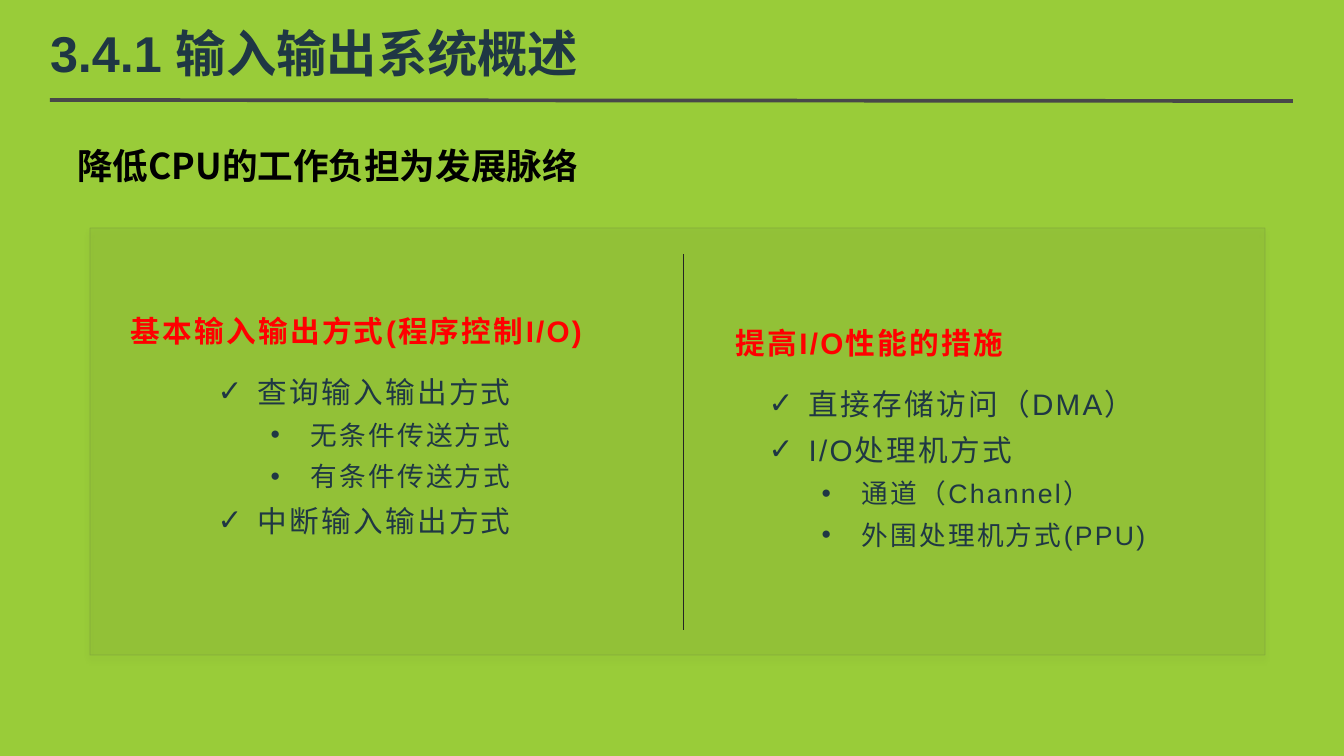
from lxml.etree import SubElement
from pptx import Presentation
from pptx.dml.color import RGBColor
from pptx.enum.shapes import MSO_CONNECTOR, MSO_SHAPE
from pptx.enum.text import MSO_ANCHOR, MSO_AUTO_SIZE, PP_ALIGN
from pptx.oxml.ns import qn
from pptx.util import Emu, Pt

SLIDE_WIDTH, SLIDE_HEIGHT = 1344, 756
GREEN, GREY, NAVY = "99CC39", "484849", "1F3744"
RED, BLACK, DIVIDER = "FF0000", "000000", "242424"
LATIN, CHINESE = "Arial", "Noto Sans CJK SC"
HANGING, LEVEL_STEP = 40, 53


def px(length):
    return Emu(round(length * 8572.5))


def color(value):
    return RGBColor.from_string(value)


def place(shape, box):
    shape.left, shape.top, shape.width, shape.height = map(px, box)


def set_alpha(fill_element, percent):
    for rgb in fill_element.iter(qn("a:srgbClr")):
        SubElement(rgb, qn("a:alpha"), val=str(percent * 1000))


def add_run(paragraph, text, size, value, bold=False, latin=LATIN, spacing=0):
    run = paragraph.add_run()
    run.text = text
    font = run.font
    font.size, font.bold, font.name = Pt(size), bold, latin
    font.color.rgb = color(value)
    properties = run._r.get_or_add_rPr()
    SubElement(properties, qn("a:ea"), typeface=CHINESE)
    if spacing:
        properties.set("spc", str(round(spacing * 100)))


def set_bullet(paragraph, indent, hanging, bullet=None):
    properties = paragraph._p.get_or_add_pPr()
    properties.set("marL", str(px(indent)))
    properties.set("indent", str(-px(hanging)))
    if bullet:
        SubElement(properties, qn("a:buFont"), typeface=LATIN)
        SubElement(properties, qn("a:buChar"), char=bullet)
    else:
        SubElement(properties, qn("a:buNone"))


def add_line(slide, start, end, value, width):
    line = slide.shapes.add_connector(
        MSO_CONNECTOR.STRAIGHT, *map(px, start + end))
    line.line.color.rgb = color(value)
    line.line.width = Pt(width)
    SubElement(line._element.spPr, qn("a:effectLst"))


def add_header(slide, box, text):
    """Title with the rule below it."""
    left, top, width, height = box
    title = slide.shapes.title
    place(title, box)
    frame = title.text_frame
    frame.margin_left = frame.margin_right = 0
    frame.margin_top = frame.margin_bottom = 0
    frame.vertical_anchor = MSO_ANCHOR.MIDDLE
    frame.auto_size = MSO_AUTO_SIZE.NONE
    frame.paragraphs[0].alignment = PP_ALIGN.LEFT
    add_run(frame.paragraphs[0], text, 34, NAVY, bold=True)
    rule_top = top + height + 6
    add_line(slide, (left, rule_top), (left + width, rule_top + 1), GREY, 2.5)


def add_subtitle(slide, box, text):
    frame = slide.shapes.add_textbox(*map(px, box)).text_frame
    frame.word_wrap = True
    add_run(frame.paragraphs[0], text, 24, BLACK, bold=True, latin=CHINESE)


def add_panel(slide, box):
    """Tinted panel behind the lists, with the divider in its middle."""
    left, top, width, height = box
    panel = slide.shapes.add_shape(MSO_SHAPE.RECTANGLE, *map(px, box))
    panel.fill.solid()
    panel.fill.fore_color.rgb = color(GREY)
    panel.line.color.rgb = color(GREY)
    panel.line.width = Pt(0.5)
    properties = panel._element.spPr
    set_alpha(properties.find(qn("a:solidFill")), 5)
    set_alpha(properties.find(qn("a:ln")), 20)
    effects = SubElement(properties, qn("a:effectLst"))
    shadow = SubElement(effects, qn("a:outerShdw"), blurRad=str(Pt(4)),
                        dist=str(Pt(3)), dir="5400000")
    SubElement(shadow, qn("a:srgbClr"), val=BLACK)
    set_alpha(shadow, 40)
    slide.shapes.element.insert(2, panel._element)
    middle = left + width // 2 + 6
    add_line(slide, (middle, top + 26), (middle, top + height - 25), DIVIDER, 0.5)


def fill_list(placeholder, box, heading, indent, items):
    """Red heading, ticked items and dotted sub-items."""
    place(placeholder, box)
    frame = placeholder.text_frame
    frame.word_wrap = True
    frame.auto_size = MSO_AUTO_SIZE.NONE
    frame.vertical_anchor = MSO_ANCHOR.MIDDLE
    paragraph = frame.paragraphs[0]
    paragraph.line_spacing = 1.5
    paragraph.space_before, paragraph.space_after = Pt(0), Pt(10)
    set_bullet(paragraph, 33, 33)
    add_run(paragraph, heading, 20, RED, bold=True, spacing=1.5)
    for depth, text in items:
        paragraph = frame.add_paragraph()
        paragraph.level = depth + 1
        paragraph.line_spacing = 1.3
        paragraph.space_before = paragraph.space_after = Pt(0)
        set_bullet(paragraph, indent + depth * LEVEL_STEP, HANGING, "✓•"[depth])
        add_run(paragraph, text, 20 - 2 * depth, NAVY, spacing=1.5)


def main():
    presentation = Presentation()
    presentation.slide_width = px(SLIDE_WIDTH)
    presentation.slide_height = px(SLIDE_HEIGHT)
    slide = presentation.slides.add_slide(presentation.slide_layouts[3])
    slide.background.fill.solid()
    slide.background.fill.fore_color.rgb = color(GREEN)

    # Header
    add_header(slide, (50, 10, 1243, 84), "3.4.1 输入输出系统概述")
    add_subtitle(slide, (67, 139, 673, 53), "降低CPU的工作负担为发展脉络")

    # Panel with two lists
    add_panel(slide, (90, 228, 1175, 427))
    fill_list(slide.placeholders[1], (120, 252, 535, 329),
              "基本输入输出方式(程序控制I/O)", 127,
              [(0, "查询输入输出方式"), (1, "无条件传送方式"),
               (1, "有条件传送方式"), (0, "中断输入输出方式")])
    fill_list(slide.placeholders[2], (725, 254, 481, 349),
              "提高I/O性能的措施", 73,
              [(0, "直接存储访问（DMA）"), (0, "I/O处理机方式"),
               (1, "通道（Channel）"), (1, "外围处理机方式(PPU)")])
    presentation.save("out.pptx")


if __name__ == "__main__":
    main()
